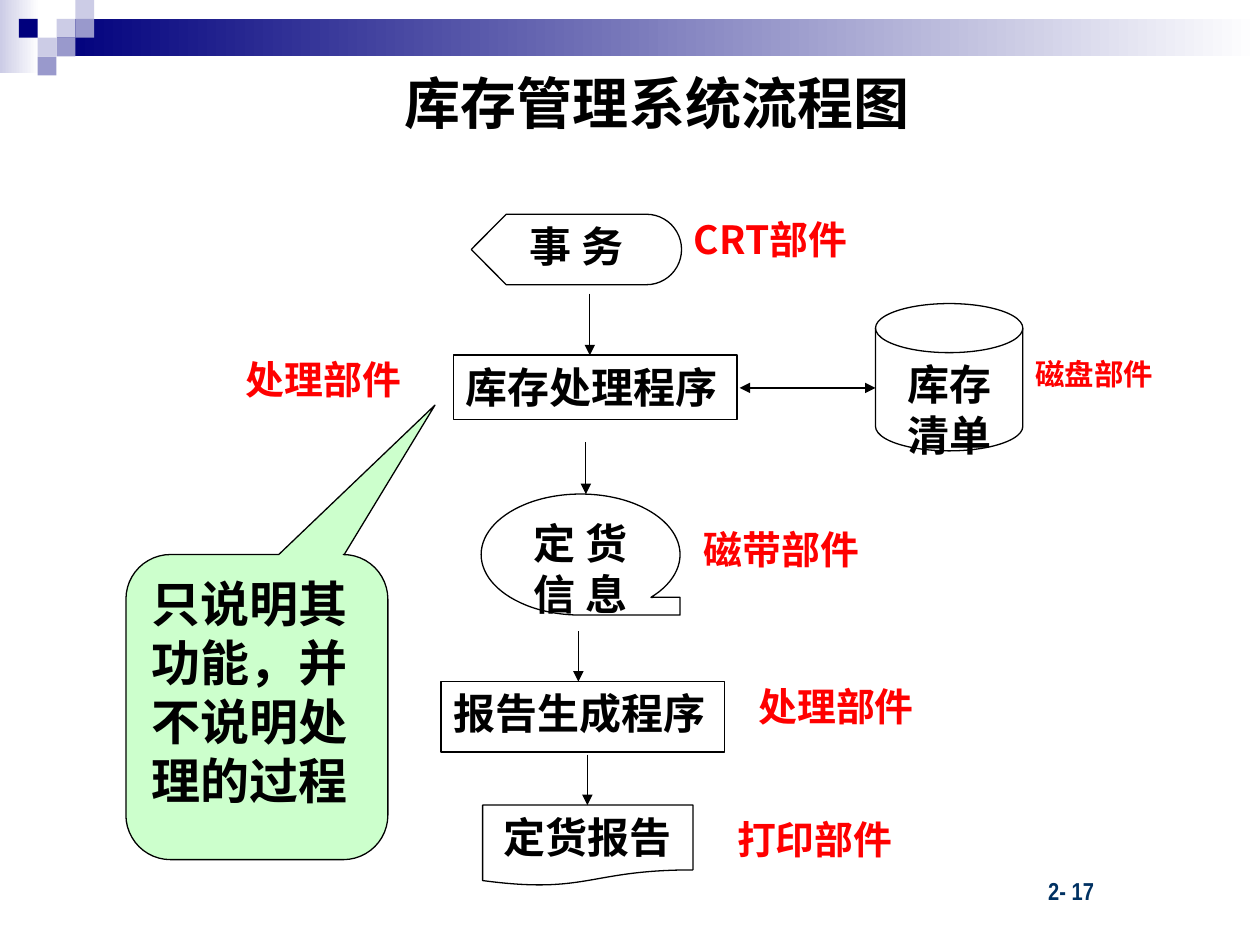
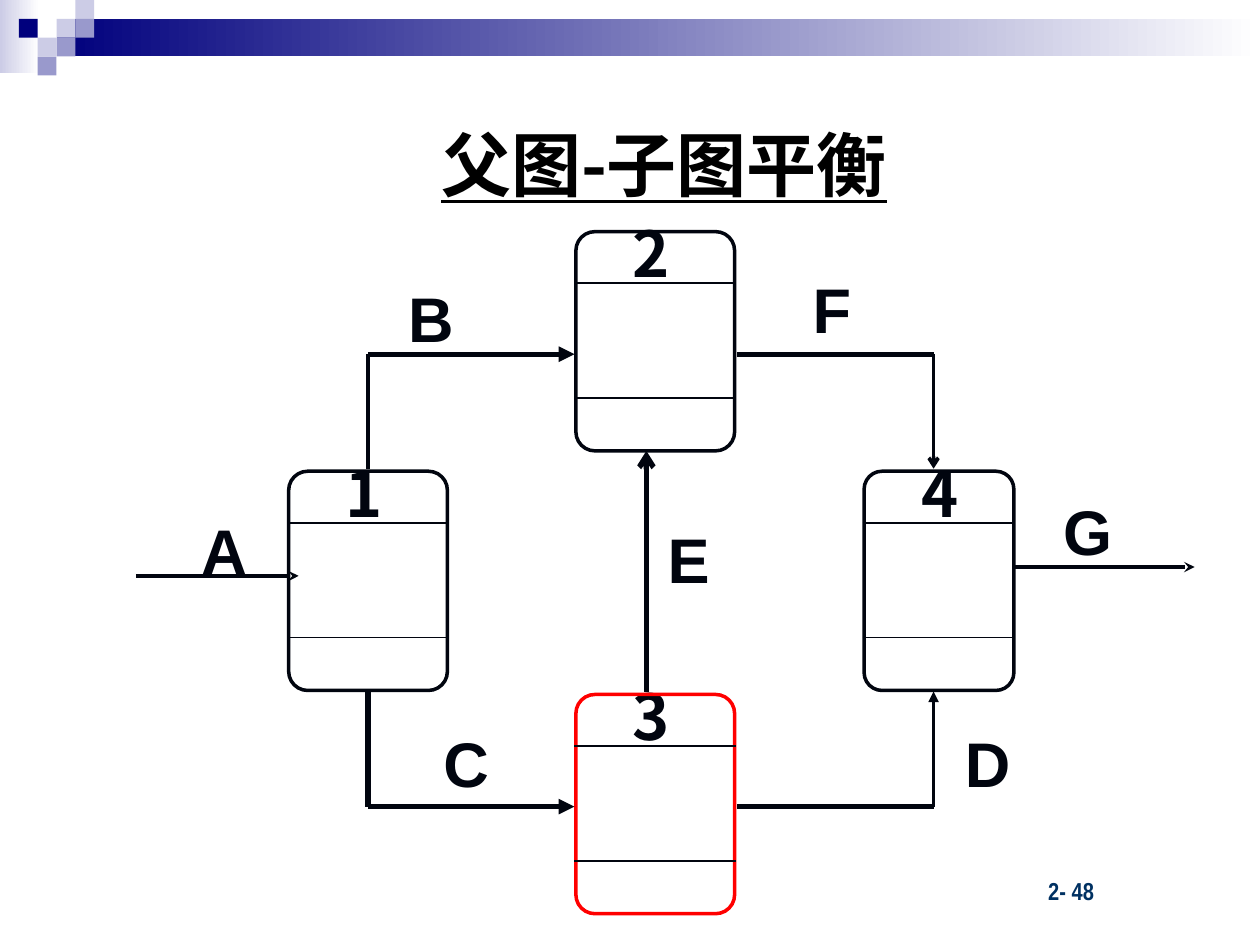
from lxml import etree
from pptx import Presentation
from pptx.dml.color import RGBColor
from pptx.enum.shapes import MSO_CONNECTOR, MSO_SHAPE
from pptx.enum.text import MSO_ANCHOR, MSO_AUTO_SIZE, PP_ALIGN
from pptx.oxml.ns import qn
from pptx.util import Cm, Pt

RECT = MSO_SHAPE.RECTANGLE
ROUND = MSO_SHAPE.ROUNDED_RECTANGLE
CALLOUT = MSO_SHAPE.ROUNDED_RECTANGULAR_CALLOUT
DISPLAY = MSO_SHAPE.FLOWCHART_DISPLAY
TAPE = MSO_SHAPE.FLOWCHART_SEQUENTIAL_ACCESS_STORAGE
DISK = MSO_SHAPE.FLOWCHART_MAGNETIC_DISK
SHEET = MSO_SHAPE.FLOWCHART_DOCUMENT
STRAIGHT = MSO_CONNECTOR.STRAIGHT
LEFT, CENTER = PP_ALIGN.LEFT, PP_ALIGN.CENTER
TOP, MIDDLE = MSO_ANCHOR.TOP, MSO_ANCHOR.MIDDLE
NO_FIT = MSO_AUTO_SIZE.NONE

HAN, LATIN, NARROW = "Noto Sans CJK SC", "Arial", "Arial Narrow"
HUES = {
    "black": "000000", "white": "FFFFFF", "ink": "01050F", "red": "FF0000",
    "green": "CCFFCC", "navy": "00007D", "mid": "9999CC", "pale": "CCCCE6",
    "page": "003162",
}
CELL = 0.38
CELLS = [("pale", 3, 1), ("pale", 4, 0), ("mid", 4, 1), ("pale", 2, 2),
         ("navy", 1, 1), ("mid", 3, 2), ("mid", 2, 3)]


def hue(name):
    return RGBColor.from_string(HUES[name])


class Deck:
    def __init__(self):
        self.file = Presentation()
        self.file.slide_width = Cm(25.4)
        self.file.slide_height = Cm(19.05)
        self.slide = None

    def start(self, title, box, size, page, under=None):
        self.slide = self.file.slides.add_slide(self.file.slide_layouts[5])
        head = self.slide.shapes.title
        head.left, head.top, head.width, head.height = map(Cm, box)
        self.put(head, title, size, align=CENTER, anchor=MIDDLE, under=under)
        self.fade("pale", 0, 0, 0.79, 1.47)
        self.fade("navy", 3 * CELL, CELL, 24.26, 2 * CELL)
        for color, col, row in CELLS:
            self.shape(RECT, col * CELL, row * CELL, CELL, CELL, fill=color, line=None)
        self.text(page, 20.88, 17.53, 2.9, 0.84, 14, "page", NARROW)

    def put(self, shape, text, size, color="black", face=HAN, align=LEFT,
            anchor=TOP, under=None, space=None):
        frame = shape.text_frame
        frame.text = text
        frame.word_wrap = True
        frame.auto_size = NO_FIT
        frame.vertical_anchor = anchor
        for para in frame.paragraphs:
            para.alignment = align
            para.line_spacing = space
            font = para.font
            font.size, font.bold, font.underline = Pt(size), True, under
            font.color.rgb = hue(color)
            font.name = face
            props = para._p.pPr.find(qn("a:defRPr"))
            etree.SubElement(props, qn("a:ea")).set("typeface", face)

    def text(self, text, x, y, w, h, size, color, face=HAN, space=None):
        box = self.slide.shapes.add_textbox(Cm(x), Cm(y), Cm(w), Cm(h))
        self.put(box, text, size, color, face, space=space)

    def shape(self, kind, x, y, w, h, fill=None, line="black", width=0.75, bends=()):
        item = self.slide.shapes.add_shape(kind, Cm(x), Cm(y), Cm(w), Cm(h))
        item.shadow.inherit = False
        for i, bend in enumerate(bends):
            item.adjustments[i] = bend
        if fill:
            item.fill.solid()
            item.fill.fore_color.rgb = hue(fill)
        else:
            item.fill.background()
        if line:
            item.line.color.rgb = hue(line)
            item.line.width = Pt(width)
        else:
            item.line.fill.background()
        return item

    def fade(self, color, x, y, w, h):
        fill = self.shape(RECT, x, y, w, h, line=None).fill
        fill.gradient()
        fill.gradient_angle = 0
        for stop, name in zip(fill.gradient_stops, (color, "white")):
            stop.color.rgb = hue(name)

    def line(self, x1, y1, x2, y2, color="black", width=0.75, tail=None, head=None):
        link = self.slide.shapes.add_connector(STRAIGHT, Cm(x1), Cm(y1), Cm(x2), Cm(y2))
        link.line.color.rgb = hue(color)
        link.line.width = Pt(width)
        props = link._element.spPr
        for tag, tip in (("a:headEnd", head), ("a:tailEnd", tail)):
            if tip:
                etree.SubElement(props.find(qn("a:ln")), qn(tag)).set("type", tip)
        etree.SubElement(props, qn("a:effectLst"))

    def step(self, kind, text, x, y, w, h, align=CENTER):
        self.put(self.shape(kind, x, y, w, h), text, 24, align=align)

    def label(self, text, x, y, size=22.2, space=0.9):
        self.text(text, x, y, 4.45, 1.22, size, "red", space=space)

    def node(self, text, x, y, w=3.2, color="ink"):
        self.text(text, x + 0.9, y - 0.46, 1, 1.78, 36, "ink")
        self.shape(ROUND, x, y, w, 4.42, line=color, width=2, bends=[0.12])
        for drop in (1.04, 3.35):
            self.line(x - 0.03, y + drop, x + w + 0.03, y + drop, "ink", 1)


def draw_stock(deck):
    deck.start("库存管理系统流程图", (5.11, 1.24, 16.28, 1.63), 32, "2- 17")
    deck.step(DISPLAY, "事 务", 9.5, 4.32, 4.24, 1.42)
    deck.step(RECT, "库存处理程序", 9.14, 7.16, 5.72, 1.3, LEFT)
    deck.step(DISK, "库存清单", 17.65, 6.12, 2.97, 2.97)
    deck.step(TAPE, "定 货\n信 息", 9.7, 9.96, 4.01, 2.44)
    deck.step(RECT, "报告生成程序", 8.89, 13.74, 5.72, 1.42, LEFT)
    deck.step(SHEET, "定货报告", 9.73, 16.23, 4.24, 1.63)
    for x, top, end in ((11.89, 5.92, 7.16), (11.81, 8.92, 9.96),
                        (11.66, 12.73, 13.74), (11.84, 15.21, 16.23)):
        deck.line(x, top, x, end, tail="triangle")
    deck.line(14.91, 7.82, 17.65, 7.82, tail="triangle", head="triangle")
    for text, x, y in (("CRT部件", 13.74, 4.32), ("处理部件", 4.7, 7.16),
                       ("磁带部件", 13.94, 10.57), ("处理部件", 15.04, 13.74),
                       ("打印部件", 14.61, 16.43)):
        deck.label(text, x, y)
    deck.label("磁盘部件", 20.62, 7.19, 16.8, 0.8)
    note = deck.shape(CALLOUT, 2.54, 11.18, 5.28, 6.15, "green", bends=[0.68, -0.99, 0.17])
    deck.put(note, "只说明其功能，并不说明处理的过程", 28)


def draw_flow(deck):
    deck.start("父图-子图平衡", (3.35, 1.7, 20.07, 3.18), 40, "2- 48", True)
    deck.node("1", 5.82, 9.5)
    deck.node("2", 11.61, 4.67)
    deck.node("3", 11.61, 14, color="red")
    deck.node("4", 17.42, 9.5, 3.02)
    west, east, high, low = 7.42, 18.82, 7.14, 16.26
    for x1, y1, x2, y2, width, tip in (
        (2.74, 11.61, 6.02, 11.61, 2, "stealth"),
        (20.47, 11.43, 24.08, 11.43, 2, "stealth"),
        (west, 9.45, west, high, 2, None),
        (west, high, 11.58, high, 3, "triangle"),
        (west, 13.94, west, low, 3, None),
        (west, low, 11.58, low, 3, "triangle"),
        (14.86, high, east, high, 3, None),
        (east, high, east, 9.45, 2, "arrow"),
        (14.86, low, east, low, 3, None),
        (east, low, east, 13.94, 2, "triangle"),
        (13.03, 13.94, 13.03, 9.09, 3, "arrow"),
    ):
        deck.line(x1, y1, x2, y2, "ink", width, tip)
    for text, x, y in (("A", 3.81, 10.19), ("B", 7.98, 5.51), ("C", 8.69, 14.48),
                       ("D", 19.2, 14.48), ("E", 13.21, 10.36), ("F", 16.13, 5.33),
                       ("G", 21.18, 9.8)):
        deck.text(text, x, y, 1.09, 1.78, 36, "ink", LATIN)


def main():
    deck = Deck()
    draw_stock(deck)
    draw_flow(deck)
    deck.file.save("out.pptx")


if __name__ == "__main__":
    main()
